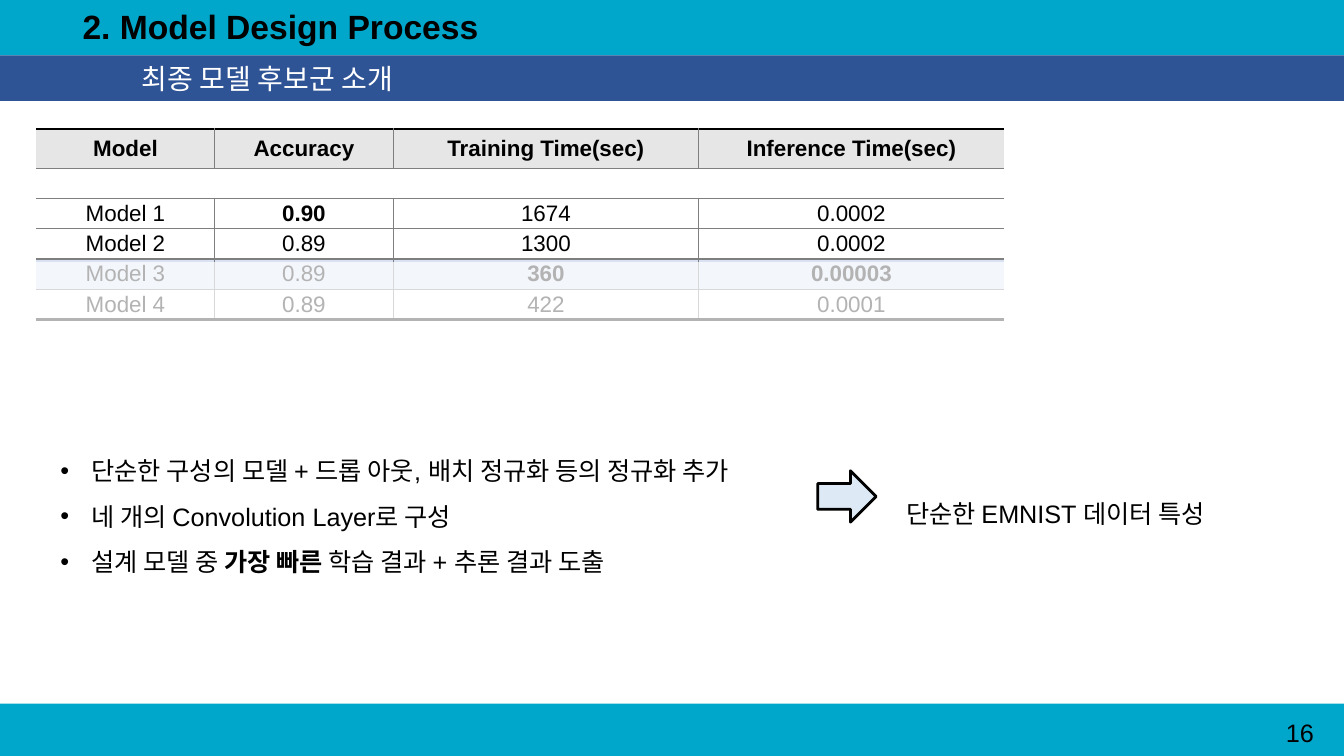
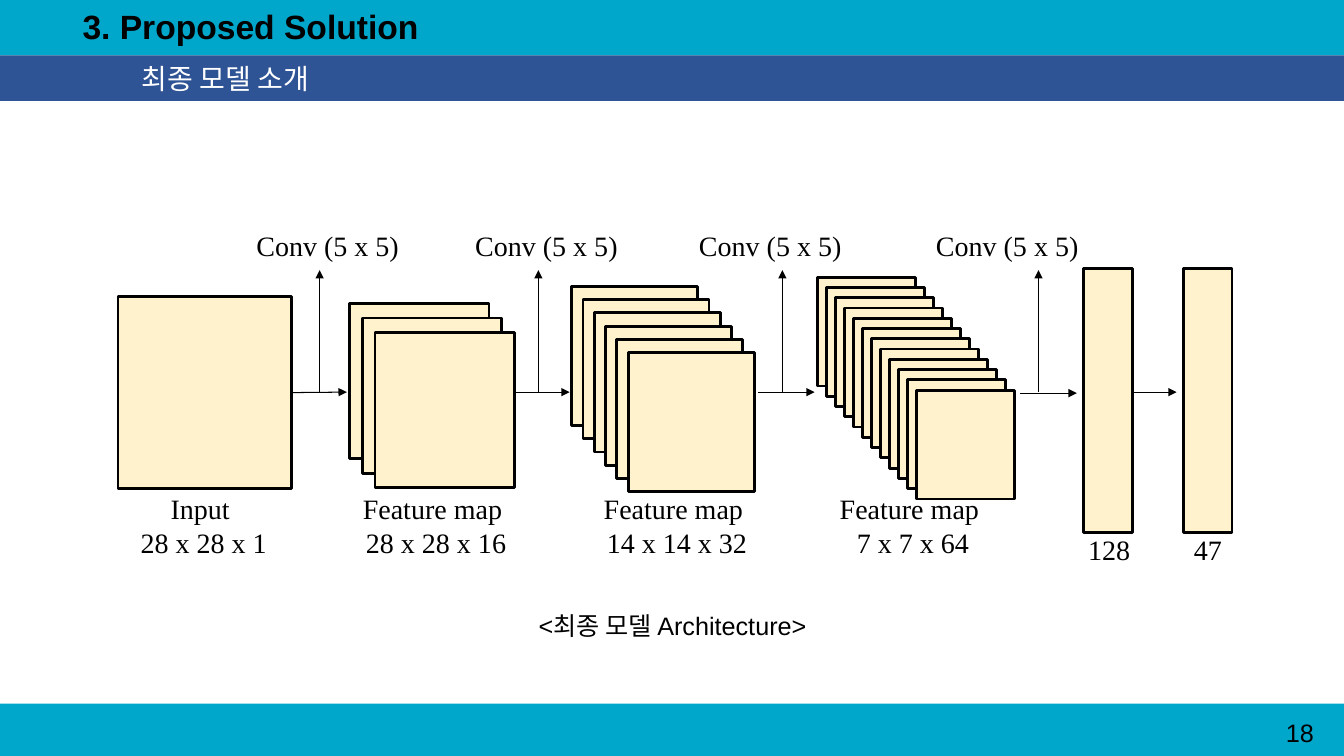
import pptx
import pptx.util
import pptx.dml.color
import pptx.enum.shapes
import pptx.enum.text
import pptx.oxml
import pptx.oxml.ns

Inches, Pt = pptx.util.Inches, pptx.util.Pt
qn = pptx.oxml.ns.qn
MSO = pptx.enum.shapes.MSO_SHAPE
ALIGN = pptx.enum.text.PP_ALIGN
ANCHOR = pptx.enum.text.MSO_ANCHOR

COLORS = {
    "band": "01A7CB", "subband": "2F5496", "ink": "000000", "paper": "FFFFFF",
    "head": "E7E6E6", "chosen": "D8E2F3", "rule": "7F7F7F",
    "arrow": "DDEAF6", "layer": "FFF2CC",
}
SLIDE_W, SLIDE_H = 13.33, 7.5

# ---- Content: candidate models
MODEL_ROWS = [
    ["Model", "Accuracy", "Training Time(sec)", "Inference Time(sec)"],
    ["", "", "", ""],
    ["Model 1", "0.90", "1674", "0.0002"],
    ["Model 2", "0.89", "1300", "0.0002"],
    ["Model 3", "0.89", "360", "0.00003"],
    ["Model 4", "0.89", "422", "0.0001"],
]
BEST_VALUES = {"0.90", "360", "0.00003"}
SPACER_ROW, CHOSEN_ROW = 1, 4
COLUMN_WIDTHS = [1.77, 1.77, 3.03, 3.03]
ROW_HEIGHTS = [0.39] + [0.3] * 5
FINDINGS = [
    [("단순한 구성의 모델 + 드롭 아웃, 배치 정규화 등의 정규화 추가", False)],
    [("네 개의 Convolution Layer로 구성", False)],
    [("설계 모델 중 ", False), ("가장 빠른 ", True), ("학습 결과 + 추론 결과 도출", False)],
]
CONCLUSION = "단순한 EMNIST 데이터 특성"

# ---- Content: network architecture
# first corner, last corner, sheet size, number of sheets
LAYERS = [
    ((1.17, 2.94), (1.17, 2.94), (1.72, 1.91), 1),
    ((3.47, 3.01), (3.72, 3.3), (1.38, 1.54), 3),
    ((5.67, 2.84), (6.23, 3.5), (1.25, 1.38), 6),
    ((8.11, 2.75), (9.09, 3.87), (0.97, 1.08), 12),
    ((10.75, 2.66), (10.75, 2.66), (0.48, 2.62), 1),
    ((11.74, 2.66), (11.74, 2.66), (0.48, 2.62), 1),
]
# lines, centre, top
LAYER_LABELS = [
    (["Input ", "28 x 28 x 1"], 2.02, 4.83),
    (["Feature map", " 28 x 28 x 16"], 4.29, 4.83),
    (["Feature map", " 14 x 14 x 32"], 6.68, 4.83),
    (["Feature map", " 7 x 7 x 64"], 9.02, 4.83),
    (["128"], 11, 5.23),
    (["47"], 11.98, 5.23),
]
# start, end and height of each arrow between layers
FLOWS = [(2.89, 3.44, 3.89), (5.1, 5.65, 3.89), (7.52, 8.08, 3.89),
         (10.12, 10.68, 3.9), (11.23, 11.67, 3.89)]
CONV = "Conv (5 x 5)"
CONVS = [(3.17, 3.25), (5.34, 5.42), (7.76, 7.64), (10.3, 9.99)]  # arrow x, label centre
CAPTION = "<최종 모델 Architecture>"


# ---- Shared drawing helpers
def rgb(name):
    return pptx.dml.color.RGBColor.from_string(COLORS[name])


def style_run(run, size, color="ink", bold=False, font="Arial"):
    run.font.size, run.font.name, run.font.bold = Pt(size), font, bold
    run.font.color.rgb = rgb(color)


def add_box(slide, left, top, width, height, fill, line=None, preset=MSO.RECTANGLE):
    box = slide.shapes.add_shape(preset, Inches(left), Inches(top), Inches(width), Inches(height))
    box.shadow.inherit = False
    box.fill.solid()
    box.fill.fore_color.rgb = rgb(fill)
    if line:
        box.line.color.rgb = rgb(line)
        box.line.width = Pt(2)
    else:
        box.line.fill.background()
    return box


def add_text(slide, left, top, width, height, lines, size, align=ALIGN.LEFT,
             anchor=ANCHOR.TOP, spacing=None, **style):
    """Each line is a string or a list of (text, bold) runs."""
    frame = slide.shapes.add_textbox(
        Inches(left), Inches(top), Inches(width), Inches(height)).text_frame
    frame.word_wrap = True
    frame.vertical_anchor = anchor
    for i, line in enumerate(lines):
        paragraph = frame.paragraphs[0] if i == 0 else frame.add_paragraph()
        paragraph.alignment = align
        if spacing:
            paragraph.line_spacing = spacing
        runs = [(line, style.get("bold", False))] if isinstance(line, str) else line
        for text, bold in runs:
            run = paragraph.add_run()
            run.text = text
            style_run(run, size, **{**style, "bold": bold})
    return frame


def set_indent(paragraph, left, first=0, bullet=None):
    props = paragraph._p.get_or_add_pPr()
    props.set("marL", str(Inches(left)))
    props.set("indent", str(Inches(first)))
    if bullet:
        font = props.makeelement(qn("a:buFont"), {"typeface": "Arial"})
        mark = props.makeelement(qn("a:buChar"), {"char": bullet})
        props.extend([font, mark])


def add_arrow(slide, start, end):
    arrow = slide.shapes.add_connector(
        pptx.enum.shapes.MSO_CONNECTOR.STRAIGHT, *[Inches(v) for v in (*start, *end)])
    arrow.line.color.rgb = rgb("ink")
    arrow.line.width = Pt(0.75)
    line = arrow.line._get_or_add_ln()
    line.append(line.makeelement(qn("a:tailEnd"), {"type": "triangle"}))
    props = arrow._element.spPr
    props.append(props.makeelement(qn("a:effectLst"), {}))
    return arrow


def set_borders(cell, **sides):
    """Sides L, R, T, B, each (colour, points) or None for no line."""
    props = cell._tc.get_or_add_tcPr()
    for i, side in enumerate("LRTB"):
        border = sides[side]
        if border:
            xml = (f'w="{Pt(border[1])}"><a:solidFill><a:srgbClr val="{COLORS[border[0]]}"/>'
                   '</a:solidFill>')
        else:
            xml = 'w="0"><a:noFill/>'
        props.insert(i, pptx.oxml.parse_xml(
            f'<a:ln{side} {pptx.oxml.ns.nsdecls("a")} {xml}</a:ln{side}>'))


def start_slide(deck, title, subtitle, number):
    slide = deck.slides.add_slide(deck.slide_layouts[6])
    add_box(slide, 0, 6.98, SLIDE_W, SLIDE_H - 6.98, "band")
    add_text(slide, 11.6, 7.07, 1.53, 0.4, [number], 18, ALIGN.RIGHT)
    add_box(slide, 0, 0, SLIDE_W, 0.55, "band")
    add_box(slide, 0, 0.55, SLIDE_W, 0.45, "subband")
    add_text(slide, 0.72, 0.01, 7.28, 0.52, [title], 24, bold=True)
    add_text(slide, 1.31, 0.56, 8.63, 0.44, [subtitle], 20, anchor=ANCHOR.MIDDLE, color="paper")
    return slide


# ---- Slide: candidate models
def add_model_table(slide):
    table = slide.shapes.add_table(
        len(MODEL_ROWS), len(COLUMN_WIDTHS), Inches(0.36), Inches(1.28),
        Inches(sum(COLUMN_WIDTHS)), Inches(sum(ROW_HEIGHTS))).table
    table.first_row = table.horz_banding = False
    for column, width in zip(table.columns, COLUMN_WIDTHS):
        column.width = Inches(width)
    last_row, last_col = len(MODEL_ROWS) - 1, len(COLUMN_WIDTHS) - 1
    thin, thick = ("rule", 1), ("ink", 2.25)
    fills = {0: "head", CHOSEN_ROW: "chosen"}
    for r, row in enumerate(MODEL_ROWS):
        table.rows[r].height = Inches(ROW_HEIGHTS[r])
        for c, text in enumerate(row):
            cell = table.cell(r, c)
            cell.margin_left = cell.margin_right = Inches(0.07)
            cell.margin_top = cell.margin_bottom = 0
            cell.vertical_anchor = ANCHOR.MIDDLE
            if r in fills:
                cell.fill.solid()
                cell.fill.fore_color.rgb = rgb(fills[r])
            else:
                cell.fill.background()
            inner = r != SPACER_ROW
            set_borders(cell,
                        L=thin if inner and c > 0 else None,
                        R=thin if inner and c < last_col else None,
                        T=thick if r == 0 else thin,
                        B=thick if r == last_row else thin)
            if text:
                cell.text_frame.text = text
                paragraph = cell.text_frame.paragraphs[0]
                paragraph.alignment = ALIGN.CENTER
                style_run(paragraph.runs[0], 16, bold=r == 0 or text in BEST_VALUES)
    table.cell(SPACER_ROW, 0).merge(table.cell(SPACER_ROW, last_col))


def build_candidates(deck):
    slide = start_slide(deck, "2. Model Design Process", "최종 모델 후보군 소개", "16")
    add_model_table(slide)
    # Translucent veil that fades the last two models
    veil = add_box(slide, 0.26, 2.6, 9.96, 0.65, "paper")
    tint = veil.fill._xPr.find(qn("a:solidFill"))[0]
    tint.append(tint.makeelement(qn("a:alpha"), {"val": "70000"}))
    # Findings and what they point to
    findings = add_text(slide, 0.37, 4.32, 12.6, 1.31, FINDINGS, 18, ALIGN.JUSTIFY, spacing=1.5)
    for paragraph in findings.paragraphs:
        set_indent(paragraph, 0.44, -0.31, "•")
    add_box(slide, 8.11, 4.67, 0.58, 0.51, "arrow", "ink", MSO.RIGHT_ARROW)
    conclusion = add_text(slide, 8.77, 4.74, 4.27, 0.4, [CONCLUSION], 18, ALIGN.JUSTIFY,
                          spacing=1.5)
    set_indent(conclusion.paragraphs[0], 0.12)


# ---- Slide: architecture
def build_architecture(deck):
    slide = start_slide(deck, "3. Proposed Solution", "최종 모델 소개", "18")
    serif = {"size": 20, "align": ALIGN.CENTER, "font": "Times New Roman"}
    front_sheets = []
    for first, last, size, count in LAYERS:
        for i in range(count):
            share = i / max(count - 1, 1)
            corner = [a + (b - a) * share for a, b in zip(first, last)]
            sheet = add_box(slide, *corner, *size, "layer", "ink")
        front_sheets.append(sheet)
    for lines, center, top in LAYER_LABELS:
        add_text(slide, center - 1.15, top, 2.3, 0.1 + 0.33 * len(lines), lines, **serif)
    flows = [add_arrow(slide, (x1, y), (x2, y)) for x1, x2, y in FLOWS]
    flows[0].begin_connect(front_sheets[0], 3)
    for arrow_x, center in CONVS:
        add_arrow(slide, (arrow_x, 3.89), (arrow_x, 2.68))
        add_text(slide, center - 1.12, 2.22, 2.24, 0.44, [CONV], **serif)
    caption = add_text(slide, 3.78, 5.8, 5.78, 0.5, [CAPTION], 18, ALIGN.CENTER, spacing=1.5)
    caption.margin_top = caption.margin_bottom = Inches(0.1)


def main():
    deck = pptx.Presentation()
    deck.slide_width, deck.slide_height = Inches(SLIDE_W), Inches(SLIDE_H)
    build_candidates(deck)
    build_architecture(deck)
    deck.save("out.pptx")


if __name__ == "__main__":
    main()
